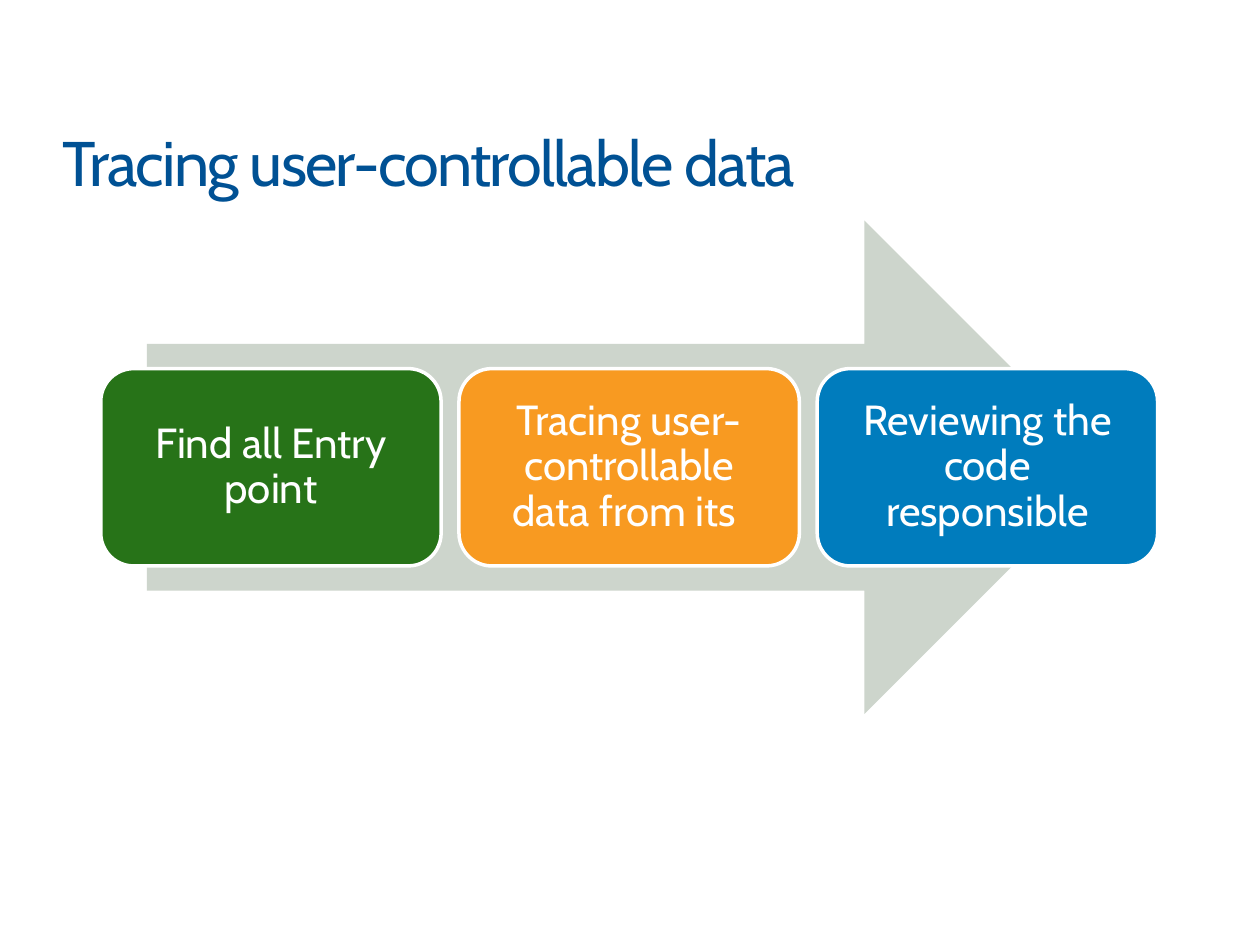
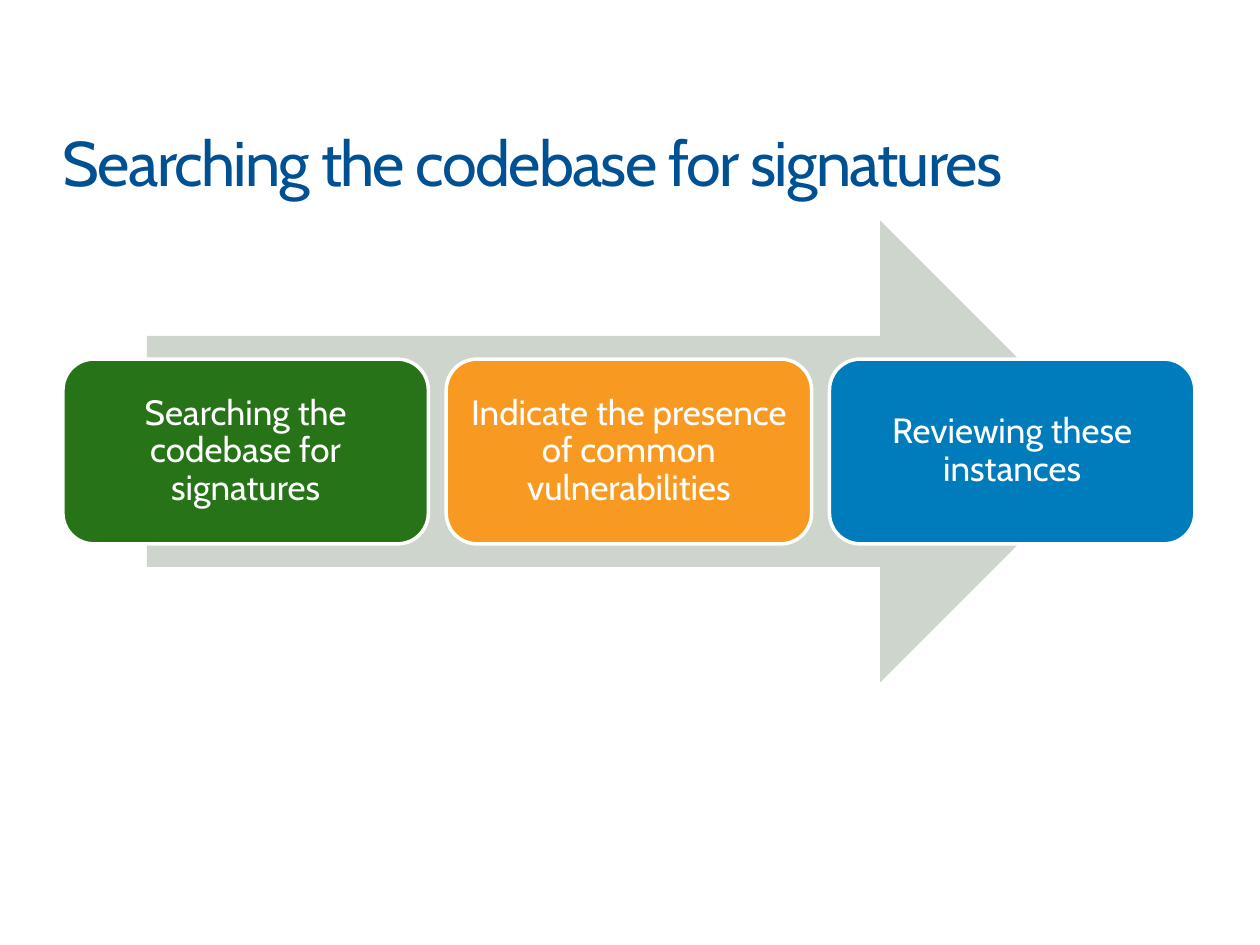
import pptx
import pptx.dml.color
import pptx.enum.shapes
import pptx.enum.text
import pptx.util

Pt = pptx.util.Pt
PRESETS = pptx.enum.shapes.MSO_SHAPE
ALIGN = pptx.enum.text.PP_ALIGN
ANCHOR = pptx.enum.text.MSO_ANCHOR

FONT = "Cabin"
WHITE = "FFFFFF"
TITLE_BLUE = "005194"
ARROW_GREY = "CDD5CC"
STEP_COLORS = ["277318", "F89A21", "007CBD"]

ARROW_LEFT, ARROW_TOP, ARROW_WIDTH = 84, 126, 551
STEP_GAP = 10.2
STEP_HEIGHT_SHARE = 0.4


def color(value):
    return pptx.dml.color.RGBColor.from_string(value)


def write_text(box, text, size, fill=WHITE, align=ALIGN.LEFT,
               anchor=ANCHOR.TOP, inset=0, line_spacing=1.0, tracking=0):
    frame = box.text_frame
    frame.word_wrap = True
    frame.vertical_anchor = anchor
    frame.margin_left = frame.margin_right = Pt(inset)
    frame.margin_top = frame.margin_bottom = Pt(inset)
    para = frame.paragraphs[0]
    para.alignment = align
    para.line_spacing = line_spacing
    span = para.add_run()
    span.text = text
    span.font.name = FONT
    span.font.size = Pt(size)
    span.font.color.rgb = color(fill)
    if tracking:
        span.font._element.set("spc", str(tracking * 100))


def add_title(page, text):
    box = page.shapes.add_textbox(Pt(36), Pt(70.5), Pt(648), Pt(44))
    write_text(box, text, 36, fill=TITLE_BLUE, tracking=-1)


def add_filled_shape(page, preset, left, top, width, height, fill, outline=None):
    shape = page.shapes.add_shape(preset, Pt(left), Pt(top), Pt(width), Pt(height))
    shape.shadow.inherit = False
    shape.fill.solid()
    shape.fill.fore_color.rgb = color(fill)
    if outline:
        shape.line.color.rgb = color(outline)
        shape.line.width = Pt(2)
    else:
        shape.line.fill.background()
    return shape


def add_process(page, steps, arrow_height, first_left, step_width, size, inset):
    add_filled_shape(page, PRESETS.RIGHT_ARROW, ARROW_LEFT, ARROW_TOP,
                     ARROW_WIDTH, arrow_height, ARROW_GREY)
    step_height = arrow_height * STEP_HEIGHT_SHARE
    step_top = ARROW_TOP + (arrow_height - step_height) / 2
    for index, (text, fill) in enumerate(zip(steps, STEP_COLORS)):
        left = first_left + index * (step_width + STEP_GAP)
        step = add_filled_shape(page, PRESETS.ROUNDED_RECTANGLE, left, step_top,
                                step_width, step_height, fill, outline=WHITE)
        write_text(step, text, size, align=ALIGN.CENTER, anchor=ANCHOR.MIDDLE,
                   inset=inset, line_spacing=0.9)


def add_page(deck, title, steps, **layout):
    page = deck.slides.add_slide(deck.slide_layouts[6])
    add_title(page, title)
    add_process(page, steps, **layout)


def main():
    deck = pptx.Presentation()
    deck.slide_width, deck.slide_height = Pt(720), Pt(540)
    add_page(
        deck, "Tracing user-controllable data",
        ["Find all Entry point",
         "Tracing user-controllable data from its ",
         "Reviewing the code responsible"],
        arrow_height=282, first_left=57.6, step_width=194.5, size=24, inset=7.2)
    add_page(
        deck, "Searching the codebase for signatures",
        ["Searching the codebase for signatures",
         "Indicate the presence of common vulnerabilities",
         "Reviewing these instances"],
        arrow_height=264, first_left=36, step_width=208.8, size=20, inset=6)
    deck.save("out.pptx")


if __name__ == "__main__":
    main()
